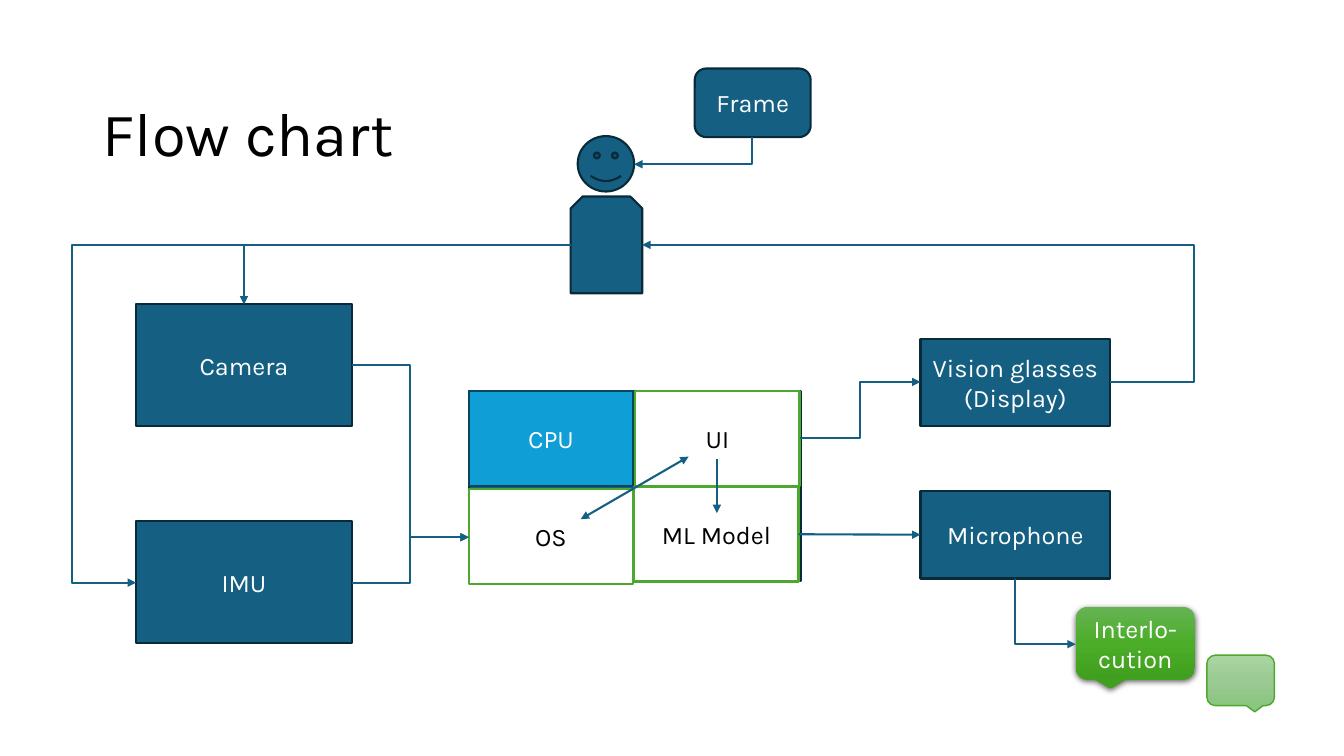
from pptx import Presentation
from pptx import util as u
from pptx.dml.color import RGBColor
from pptx.enum import shapes, text
from pptx.oxml.ns import qn
from lxml import etree

# Content: lengths in px, 100 px to the inch
SCALE = 9144
SIZE = (1333, 750)
THEME = {
    "font": "Karla", "title": 44, "body": 18, "line": 1.5, "thin": 1,
    "ink": "000000", "wire": "156082",
    # style: fill (or gradient stops), outline, text colour
    "dark": ("156082", "092A39", "FFFFFF"),
    "cpu": ("0F9ED5", "07455D", "FFFFFF"),
    "part": ("FFFFFF", "4EA72E", "000000"),
    "talk": (["66B354", "4BAD28", "409F1E"], None, "FFFFFF"),
    "pale": (["A8D5A0", "9CCA94", "8AC680"], "4EA72E", "FFFFFF"),
}
TITLE = ("Flow chart", (92, 63, 1150, 145))
# name, words, preset, style, box
NODES = [
    ("panel", "", "RECTANGLE", "dark", (465, 388, 329, 188)),
    ("cpu", "CPU", "RECTANGLE", "cpu", (465, 388, 163, 94)),
    ("ui", "UI", "RECTANGLE", "part", (630, 388, 163, 94)),
    ("os", "OS", "RECTANGLE", "part", (465, 485, 163, 94)),
    ("model", "ML Model", "RECTANGLE", "part", (629, 483, 163, 94)),
    ("display", "Vision glasses (Display)", "RECTANGLE", "dark", (913, 336, 188, 87)),
    ("mic", "Microphone", "RECTANGLE", "dark", (913, 487, 188, 87)),
    ("camera", "Camera", "RECTANGLE", "dark", (135, 302, 214, 121)),
    ("imu", "IMU", "RECTANGLE", "dark", (135, 517, 214, 121)),
    ("face", "", "SMILEY_FACE", "dark", (573, 135, 56, 55)),
    ("body", "", "SNIP_2_SAME_RECTANGLE", "dark", (566, 195, 71, 96)),
    ("talk", "Interlo-cution", "ROUNDED_RECTANGULAR_CALLOUT", "talk", (1067, 602, 118, 72)),
    ("reply", "", "ROUNDED_RECTANGULAR_CALLOUT", "pale", (1197, 650, 67, 50)),
    ("frame", "Frame", "ROUNDED_RECTANGLE", "dark", (689, 68, 115, 68)),
]
# start, end, x of the upright run
STEPS = [
    ((349, 362), (465, 533), 407),
    ((349, 578), (465, 533), 407),
    ((1101, 379), (637, 243), 1184),
    ((566, 243), (135, 578), 71),
    ((793, 435), (913, 379), 853),
]
# start, end, whether the first leg runs down
CORNERS = [
    ((746, 136), (629, 163), True),
    ((566, 243), (242, 302), False),
    ((1007, 574), (1067, 639), True),
]
# start, end, whether both ends have heads
INNER = [((711, 455), (711, 509), False), ((576, 515), (683, 453), True)]

prs = Presentation()
prs.slide_width, prs.slide_height = (n * SCALE for n in SIZE)
page = prs.slides.add_slide(prs.slide_layouts[6]).shapes


def emu(nums):
    return [round(n * SCALE) for n in nums]


def rgb(tone):
    return RGBColor.from_string(tone)


def sub(node, tag, **atts):
    return etree.SubElement(node, qn(tag), atts)


def write(frame, words, size, tone, align):
    frame.word_wrap = True
    frame.vertical_anchor = text.MSO_ANCHOR.MIDDLE
    para = frame.paragraphs[0]
    para.alignment = align
    run = para.add_run()
    run.text = words
    run.font.name, run.font.size = THEME["font"], u.Pt(size)
    run.font.color.rgb = rgb(tone)
    return para


def blend(shape, tones):
    shape.fill.gradient()
    shape.fill.gradient_angle = 270
    stops = shape._element.spPr.find(".//" + qn("a:gsLst"))
    stops.clear()
    for i, tone in enumerate(tones):
        stop = sub(stops, "a:gs", pos=str(100000 * i // (len(tones) - 1)))
        sub(stop, "a:srgbClr", val=tone)


def add_node(words, kind, style, box):
    fill, edge, tone = THEME[style]
    shape = page.add_shape(getattr(shapes.MSO_SHAPE, kind), *emu(box))
    shape.shadow.inherit = False
    if isinstance(fill, list):
        blend(shape, fill)
    else:
        shape.fill.solid()
        shape.fill.fore_color.rgb = rgb(fill)
    if edge:
        shape.line.color.rgb = rgb(edge)
        shape.line.width = u.Pt(THEME["thin" if style == "pale" else "line"])
    else:
        shape.line.fill.background()
    if words:
        write(shape.text_frame, words, THEME["body"], tone, text.PP_ALIGN.CENTER)
    return shape


def add_wire(start, end, kind="STRAIGHT", both=False):
    wire = page.add_connector(getattr(shapes.MSO_CONNECTOR, kind), *emu(start + end))
    wire.line.color.rgb = rgb(THEME["wire"])
    wire.line.width = u.Pt(THEME["line"])
    line = wire.line._get_or_add_ln()
    if both:
        sub(line, "a:headEnd", type="triangle")
    sub(line, "a:tailEnd", type="triangle")
    sub(wire._element.spPr, "a:effectLst")
    return wire


# Title
box = page.add_textbox(*emu(TITLE[1]))
write(box.text_frame, TITLE[0], THEME["title"], THEME["ink"],
      text.PP_ALIGN.LEFT).line_spacing = 0.9

# Boxes, person and speech bubbles
nodes = {name: add_node(*rest) for name, *rest in NODES}
nodes["reply"].adjustments[0] = 0.21
glow = sub(nodes["talk"]._element.spPr.find(qn("a:effectLst")), "a:outerShdw",
           blurRad=str(u.Pt(4.5)), dist=str(u.Pt(1.5)), dir="5400000", rotWithShape="0")
sub(sub(glow, "a:srgbClr", val=THEME["ink"]), "a:alpha", val="63000")

# Wires with two bends
for start, end, mid in STEPS:
    geom = add_wire(start, end, "ELBOW")._element.spPr.find(qn("a:prstGeom"))
    ratio = (mid - start[0]) / (end[0] - start[0])
    sub(geom.find(qn("a:avLst")), "a:gd", name="adj1", fmla=f"val {round(ratio * 100000)}")

# Wires with one bend: a first leg down is a quarter turn about the centre
for start, end, down in CORNERS:
    if down:
        (x, y), (dx, dy) = start, (end[0] - start[0], end[1] - start[1])
        cx, cy = x + dx / 2, y + dy / 2
        start, end = (cx - dy / 2, cy + dx / 2), (cx + dy / 2, cy - dx / 2)
    props = add_wire(start, end, "ELBOW")._element.spPr
    props.find(qn("a:prstGeom")).set("prst", "bentConnector2")
    if down:
        props.find(qn("a:xfrm")).set("rot", "5400000")

# Straight wires
link = add_wire((792, 530), (913, 530))
link.begin_connect(nodes["model"], 3)
link.end_connect(nodes["mic"], 1)
for start, end, both in INNER:
    add_wire(start, end, both=both)

prs.save("out.pptx")
